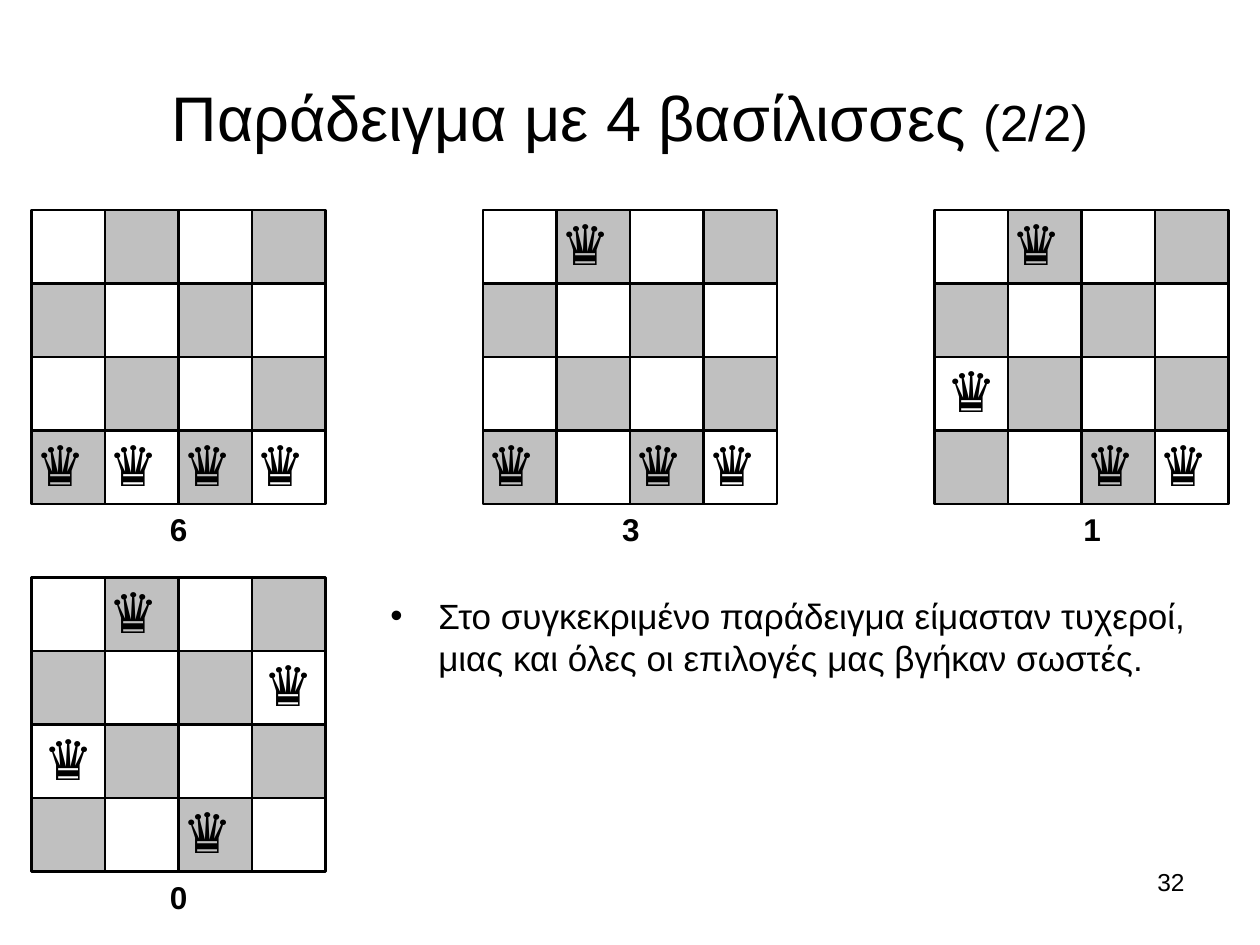
from dataclasses import dataclass

from lxml import etree
from pptx import Presentation
from pptx import util as u
from pptx.dml.color import RGBColor
from pptx.enum import shapes, text
from pptx.oxml.ns import qn


@dataclass(frozen=True)
class Theme:
    font: str = "Arial"
    ink: RGBColor = RGBColor(0, 0, 0)
    dark: RGBColor = RGBColor(0xC0, 0xC0, 0xC0)
    title: int = 36
    suffix: int = 29
    queen: int = 32
    count: int = 18
    body: int = 20
    page: int = 14
    line: float = 1.5


@dataclass(frozen=True)
class Board:
    left: float
    top: float
    rows: tuple[str, ...]
    count: str
    mark: float  # left edge of the count


THEME = Theme()
SIDE = 4
CELL = 7 / 12
STEP = 43 / 12
TOP = 5 / 3
LEFT = 0.25

# Q is a queen followed by a space, q a queen alone
QUEENS = {"Q": "♛ ", "q": "♛"}
BOARDS = (
    Board(LEFT, TOP, ("....", "....", "....", "QQQQ"), "6", 1.25),
    Board(LEFT + STEP, TOP, (".Q..", "....", "....", "Q.QQ"), "3", 4.84),
    Board(LEFT + 2 * STEP, TOP, (".Q..", "....", "q...", "..QQ"), "1", 8.5),
    Board(LEFT, TOP + 5 * CELL, (".Q..", "...q", "q...", "..Q."), "0", 1.25),
)


def style(run, size: float, bold: bool = False) -> None:
    font = run.font
    font.name = THEME.font
    font.size = u.Pt(size)
    font.bold = bold
    font.color.rgb = THEME.ink


def label(slide, box: tuple[float, ...], words: str, size: float,
          align=text.PP_ALIGN.LEFT, bold: bool = False, wrap: bool = True):
    shape = slide.shapes.add_textbox(*map(u.Inches, box))
    frame = shape.text_frame
    frame.word_wrap = wrap
    frame.text = words
    para = frame.paragraphs[0]
    para.alignment = align
    style(para.runs[0], size, bold)
    return frame


def bullet(para, indent: float) -> None:
    props = para._p.get_or_add_pPr()
    props.set("marL", str(u.Inches(indent)))
    props.set("indent", str(-u.Inches(indent)))
    etree.SubElement(props, qn("a:buFont")).set("typeface", THEME.font)
    etree.SubElement(props, qn("a:buChar")).set("char", "•")


def square(group, left: float, top: float, dark: bool, words: str) -> None:
    shape = group.shapes.add_shape(
        shapes.MSO_SHAPE.RECTANGLE, u.Inches(left), u.Inches(top),
        u.Inches(CELL), u.Inches(CELL))
    shape.shadow.inherit = False
    if dark:
        shape.fill.solid()
        shape.fill.fore_color.rgb = THEME.dark
    else:
        shape.fill.background()
    shape.line.color.rgb = THEME.ink
    shape.line.width = u.Pt(THEME.line)
    if words:
        frame = shape.text_frame
        frame.margin_left = frame.margin_right = 0
        frame.margin_top = frame.margin_bottom = 0
        frame.vertical_anchor = text.MSO_ANCHOR.TOP
        frame.text = words
        para = frame.paragraphs[0]
        para.alignment = text.PP_ALIGN.CENTER
        style(para.runs[0], THEME.queen)


def draw(slide, board: Board) -> None:
    group = slide.shapes.add_group_shape()
    for row, line in enumerate(board.rows):
        for col, mark in enumerate(line):
            square(group, board.left + col * CELL, board.top + row * CELL,
                   (row + col) % 2 == 1, QUEENS.get(mark, ""))
    label(slide, (board.mark, board.top + SIDE * CELL, 0.34, 0.4),
          board.count, THEME.count, bold=True, wrap=False)


def main() -> None:
    deck = Presentation()
    deck.slide_width, deck.slide_height = u.Inches(10), u.Inches(7.5)
    slide = deck.slides.add_slide(deck.slide_layouts[6])

    # Title with a smaller suffix
    frame = label(slide, (0.5, 0.3, 9, 1.25), "Παράδειγμα με 4 βασίλισσες ",
                  THEME.title, text.PP_ALIGN.CENTER)
    frame.vertical_anchor = text.MSO_ANCHOR.MIDDLE
    suffix = frame.paragraphs[0].add_run()
    suffix.text = "(2/2)"
    style(suffix, THEME.suffix)

    # Boards with their conflict counts
    for board in BOARDS:
        draw(slide, board)

    # Remark
    frame = label(slide, (3, 4.67, 6.75, 0.77),
                  "Στο συγκεκριμένο παράδειγμα είμασταν τυχεροί, "
                  "μιας και όλες οι επιλογές μας βγήκαν σωστές.", THEME.body)
    bullet(frame.paragraphs[0], 0.38)

    # Page number
    label(slide, (7.17, 6.83, 2.33, 0.52), "32", THEME.page,
          text.PP_ALIGN.RIGHT)

    deck.save("out.pptx")


if __name__ == "__main__":
    main()
